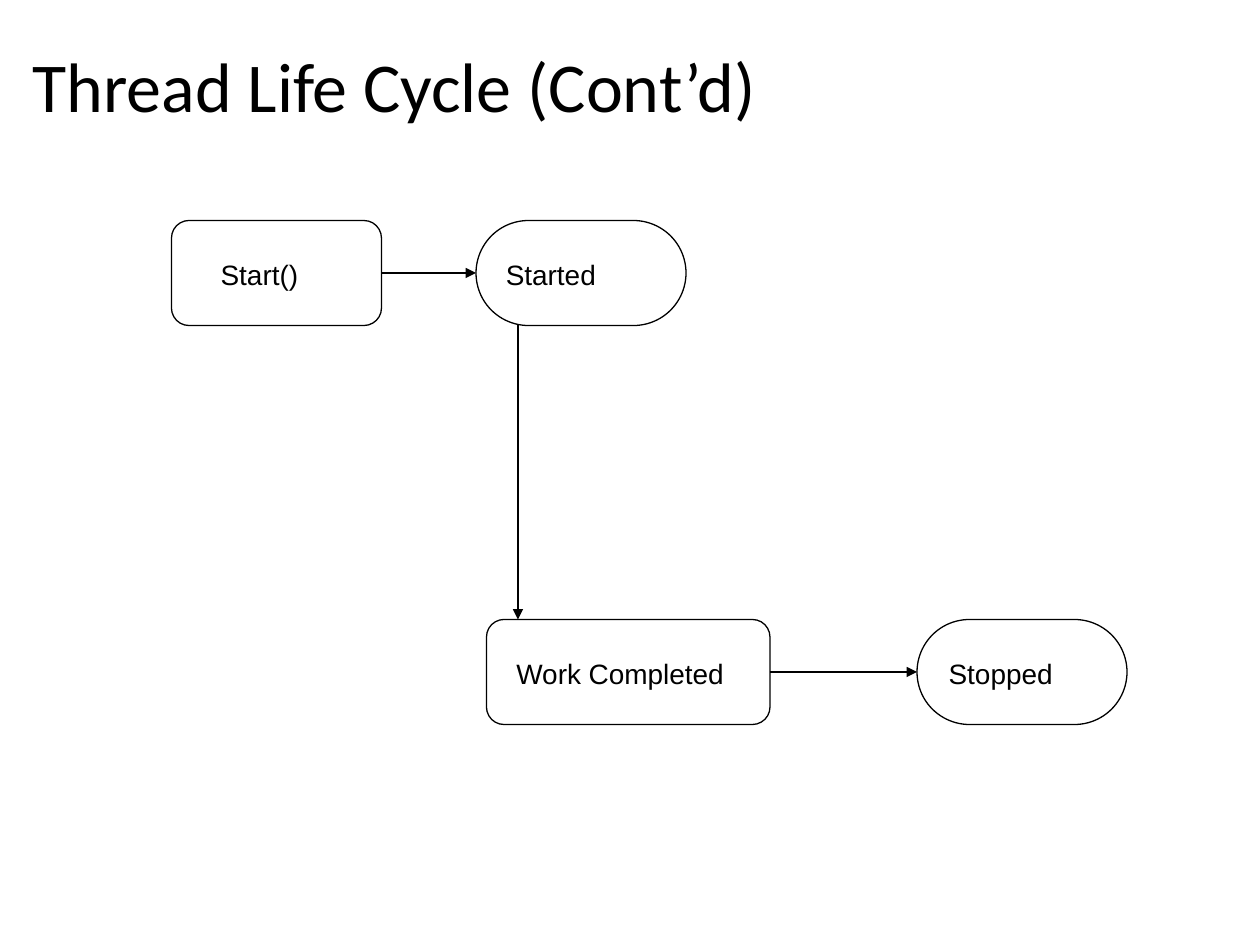
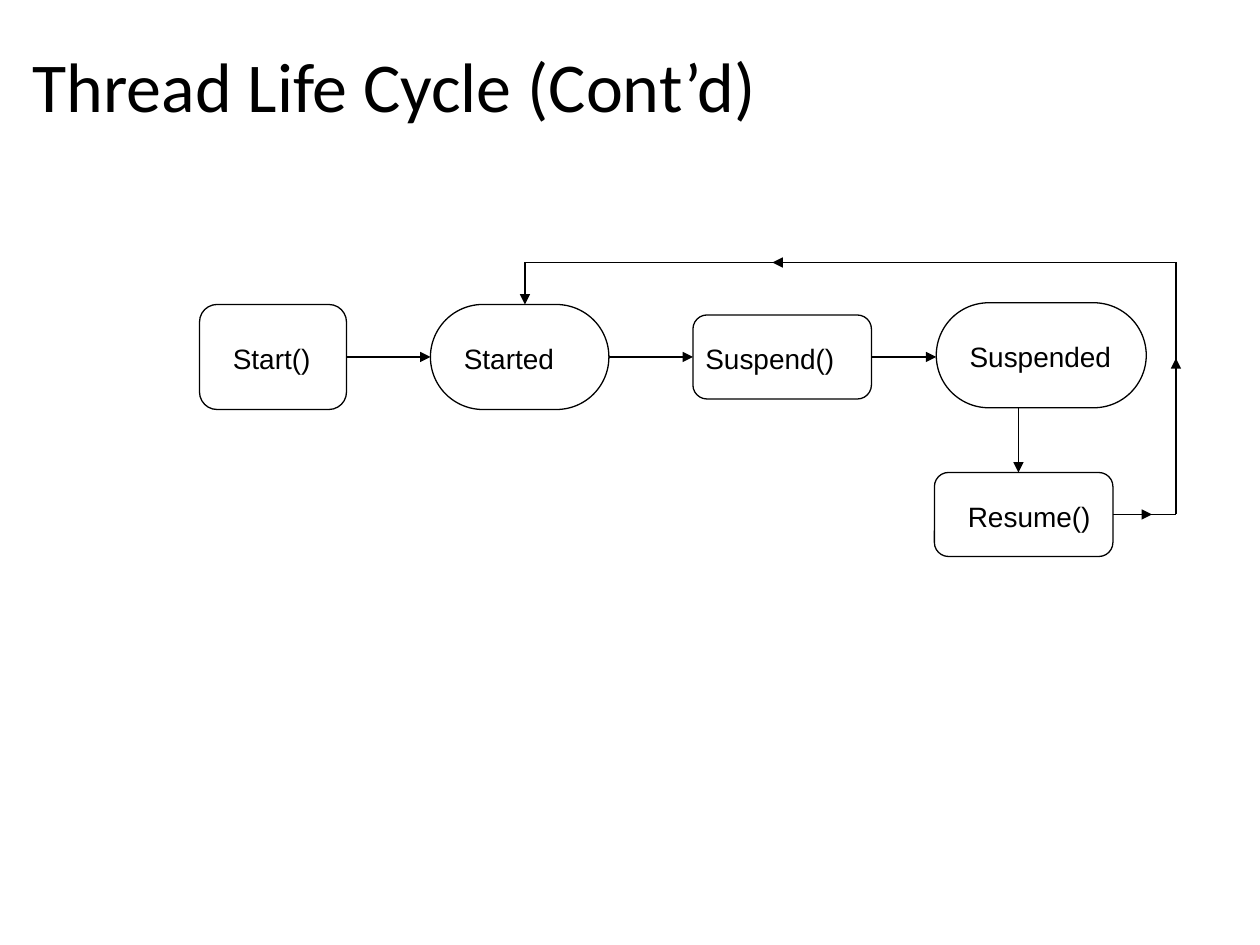
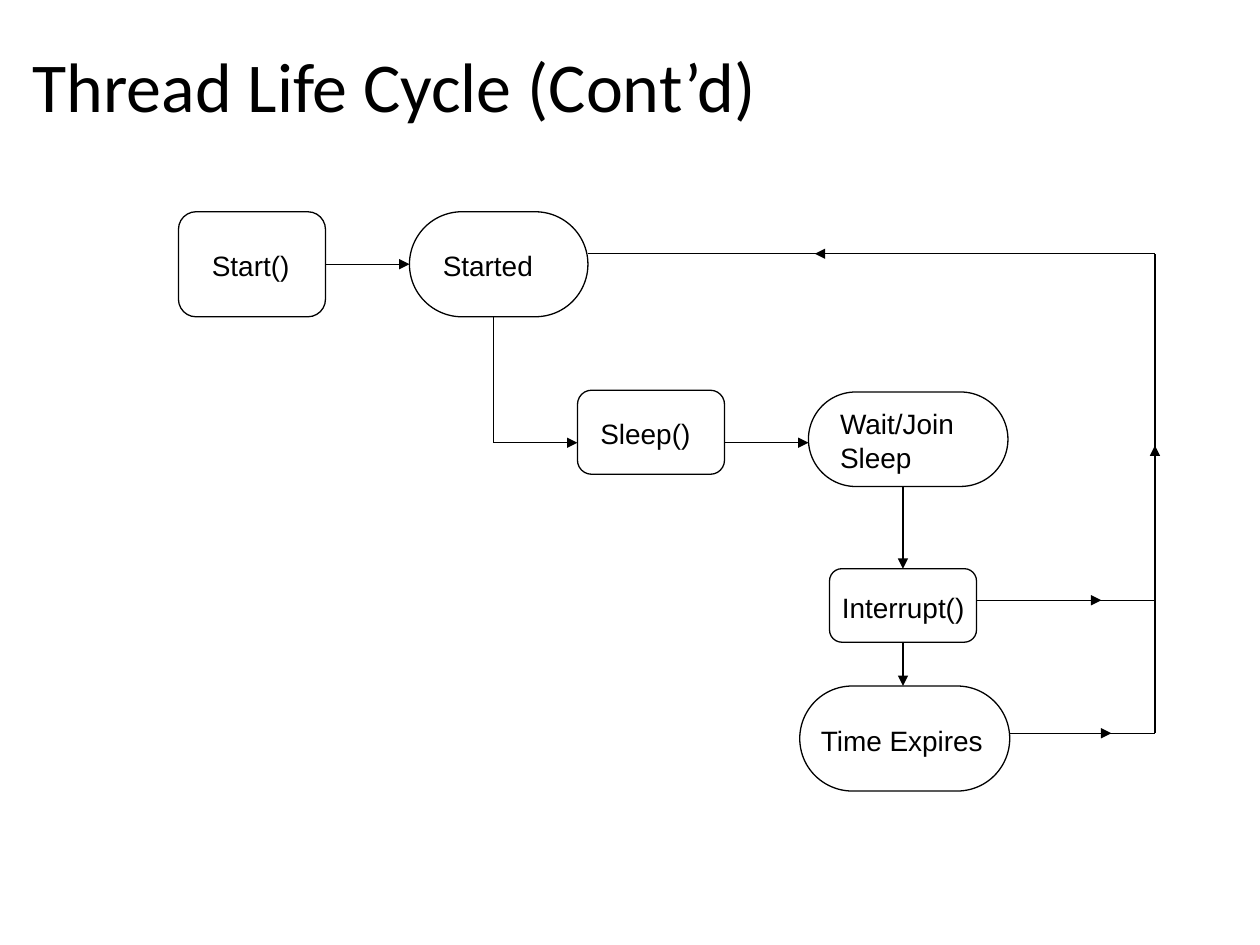
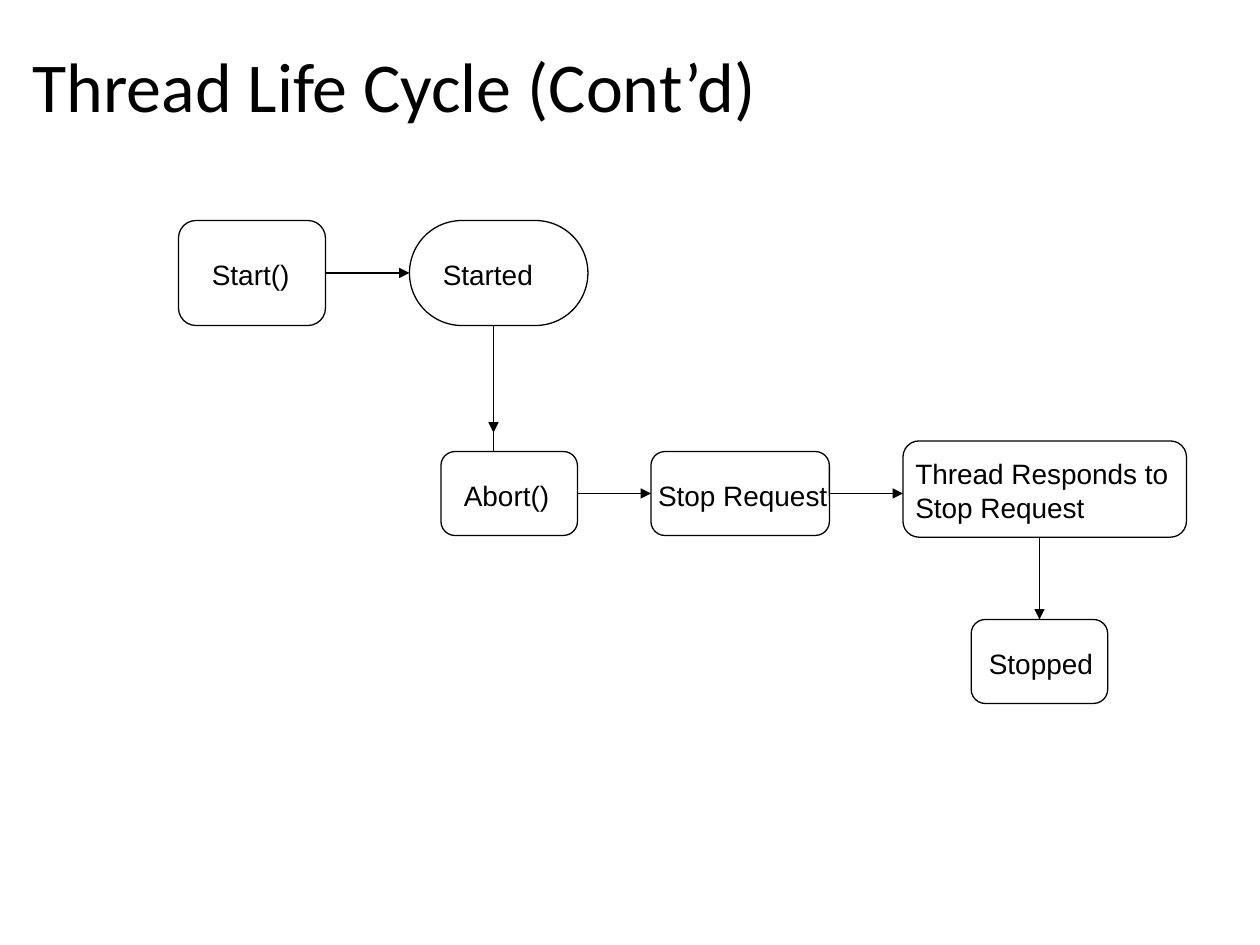
from lxml import etree
from pptx import Presentation
from pptx.dml.color import RGBColor
from pptx.enum.shapes import MSO_CONNECTOR, MSO_SHAPE
from pptx.enum.text import MSO_ANCHOR, MSO_AUTO_SIZE, PP_ALIGN
from pptx.oxml.ns import qn
from pptx.util import Pt

LINE = MSO_CONNECTOR.STRAIGHT
ROUND = MSO_SHAPE.ROUNDED_RECTANGLE
ALT = MSO_SHAPE.FLOWCHART_ALTERNATE_PROCESS
MIDDLE, TOP = MSO_ANCHOR.MIDDLE, MSO_ANCHOR.TOP
LEFT = PP_ALIGN.LEFT
GROW, FIXED = MSO_AUTO_SIZE.SHAPE_TO_FIT_TEXT, MSO_AUTO_SIZE.NONE

COLORS = {"ink": "000000", "paper": "FFFFFF"}
TITLE = "Thread Life Cycle (Cont’d)"
STROKE = 0.75
ROW = 19.4  # height of a text line
INDENT = 12
SLIM, BROAD = "()/Iijlrt ", "Wm"
CORNER, HALF = 0.167, 0.5

# Form: preset shape, corner ratio, height
FORMS = {
    "step": (ROUND, CORNER, 60), "call": (ROUND, CORNER, 48),
    "reply": (ROUND, CORNER, 55), "state": (ROUND, HALF, 60),
    "wait": (ROUND, HALF, 54), "alt": (ALT, None, 48),
    "brief": (ALT, None, 42),
}
WAIT = "Wait/Join\nSleep"
REPLY = "Thread Responds to\nStop Request"
MASKED = {"Time Expires"}

# start: corner of the usual Start() and Started pair
# nodes: text, form, left, top, width, indent of the label
# across, down: two nodes and the y or x at which an arrow joins them
# runs: corner points, and where on each leg the arrow tip lies (0 for none)
SLIDES = [
    {"nodes": [("Start()", "step", 98, 126, 120, 21),
               ("Started", "state", 272, 126, 120, 10),
               ("Work Completed", "step", 278, 354, 162, 10),
               ("Stopped", "state", 524, 354, 120, 11)],
     "across": [("Start()", "Started", 156),
                ("Work Completed", "Stopped", 384)],
     "down": [("Started", "Work Completed", 296)],
     "runs": []},
    {"start": (114, 174),
     "nodes": [("Suspend()", "call", 396, 180, 102, 0),
               ("Suspended", "state", 535, 173, 120, INDENT),
               ("Resume()", "call", 534, 270, 102, INDENT)],
     "across": [("Started", "Suspend()", 204),
                ("Suspend()", "Suspended", 204)],
     "down": [("Suspended", "Resume()", 582)],
     "runs": [([(636, 294), (672, 294), (672, 150), (300, 150)], 0.62),
              ([(300, 150), (300, 174)], 1)]},
    {"start": (102, 121),
     "nodes": [("Sleep()", "call", 330, 223, 84, 6),
               (WAIT, "wait", 462, 224, 114, 11),
               ("Interrupt()", "brief", 474, 325, 84, 0),
               ("Time Expires", "state", 457, 392, 120, 5)],
     "across": [("Sleep()", WAIT, 253)],
     "down": [(WAIT, "Interrupt()", 516),
              ("Interrupt()", "Time Expires", 516)],
     "runs": [([(282, 181), (282, 253)], 0),
              ([(282, 253), (330, 253)], 1),
              ([(558, 343), (660, 343)], 0.7),
              ([(577, 419), (660, 419)], 0.7),
              ([(660, 419), (660, 145), (336, 145)], 0.6)]},
    {"start": (102, 126),
     "nodes": [("Abort()", "alt", 252, 258, 78, 6),
               ("Stop Request", "alt", 372, 258, 102, -3),
               (REPLY, "reply", 516, 252, 162, 0),
               ("Stopped", "alt", 555, 354, 78, 3)],
     "across": [("Abort()", "Stop Request", 282),
                ("Stop Request", REPLY, 282)],
     "down": [(REPLY, "Stopped", 594)],
     "runs": [([(282, 186), (282, 258)], 0.85)]},
]


def rgb(name):
    return RGBColor.from_string(COLORS[name])


def write(frame, text, size=16, font="Arial", fit=GROW, anchor=TOP,
          spacing=1.0):
    """Fill a text frame, one paragraph for each line of text."""
    frame.text = text
    frame.word_wrap = True
    frame.auto_size = fit
    frame.vertical_anchor = anchor
    for para in frame.paragraphs:
        para.alignment = LEFT
        para.line_spacing = spacing
        face = para.runs[0].font
        face.size, face.name = Pt(size), font
        face.color.rgb = rgb("ink")


deck = Presentation()
deck.slide_width, deck.slide_height = Pt(720), Pt(540)

for data in SLIDES:
    slide = deck.slides.add_slide(deck.slide_layouts[5])
    shapes = slide.shapes
    title = shapes.title
    title.left, title.top = Pt(11.5), Pt(8)
    title.width, title.height = Pt(701), Pt(86.4)
    write(title.text_frame, TITLE, size=40, font="Calibri", fit=FIXED,
          anchor=MIDDLE, spacing=0.9)

    nodes, across = list(data["nodes"]), list(data["across"])
    if "start" in data:
        x, y = data["start"]
        nodes += [("Start()", "step", x, y, 84, INDENT),
                  ("Started", "state", x + 132, y, 102, INDENT)]
        across.append(("Start()", "Started", y + 30))
    spots = {text: (x, y, x + w, y + FORMS[form][2])
             for text, form, x, y, w, _ in nodes}

    # Every line as start, end and arrow flag
    lines = [((spots[a][2], y), (spots[b][0], y), True) for a, b, y in across]
    lines += [((x, spots[a][3]), (x, spots[b][1]), True)
              for a, b, x in data["down"]]
    for points, tip in data["runs"]:
        for head, end in zip(points, points[1:]):
            lines.append((head, end, tip == 1))
            if 0 < tip < 1:
                near, far = [tuple(p + (q - p) * part
                                   for p, q in zip(head, end))
                             for part in (tip / 2, tip)]
                lines.append((near, far, True))

    for head, end, arrow in lines:
        ends = [Pt(value) for value in head + end]
        link = shapes.add_connector(LINE, *ends)
        link.line.color.rgb = rgb("ink")
        link.line.width = Pt(STROKE)
        if arrow:
            etree.SubElement(link.line._get_or_add_ln(), qn("a:tailEnd"),
                             type="triangle")
        etree.SubElement(link._element.spPr, qn("a:effectLst"))

    for text, form, x, y, w, indent in nodes:
        kind, ratio, h = FORMS[form]
        rows = text.split("\n")
        wide = 17 + max(sum(5 if c in SLIM else 14 if c in BROAD else 9
                            for c in row) for row in rows)
        high = ROW * len(rows) + 7.2
        label = shapes.add_textbox(Pt(x + indent), Pt(y + (h - high) / 2 + 1),
                                   Pt(wide), Pt(high))
        write(label.text_frame, text)
        if text in MASKED:
            label.fill.solid()
            label.fill.fore_color.rgb = rgb("paper")

        node = shapes.add_shape(kind, Pt(x), Pt(y), Pt(w), Pt(h))
        if ratio:
            node.adjustments[0] = ratio
        node.shadow.inherit = False
        node.fill.background()
        node.line.color.rgb = rgb("ink")
        node.line.width = Pt(STROKE)

deck.save("out.pptx")
